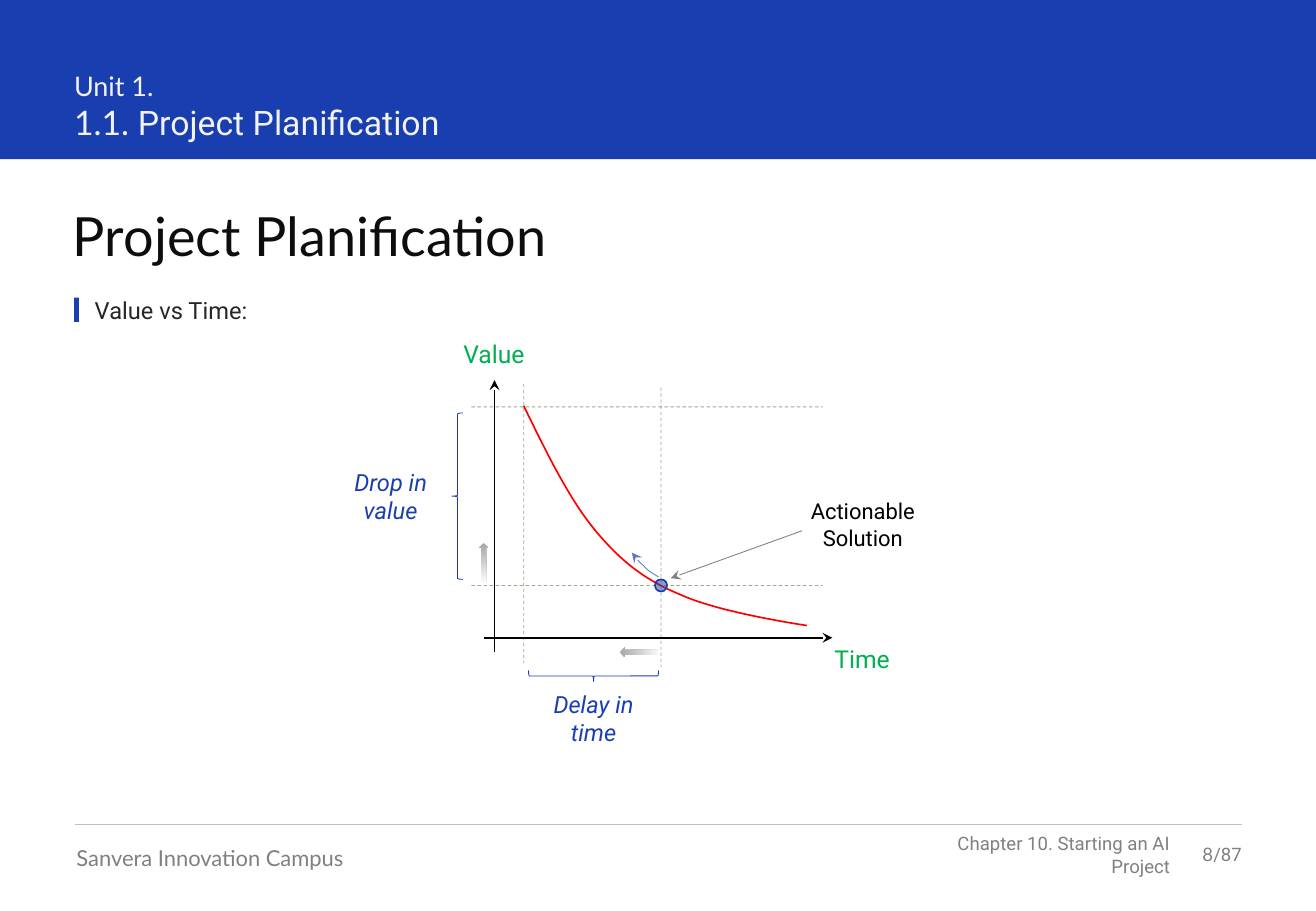
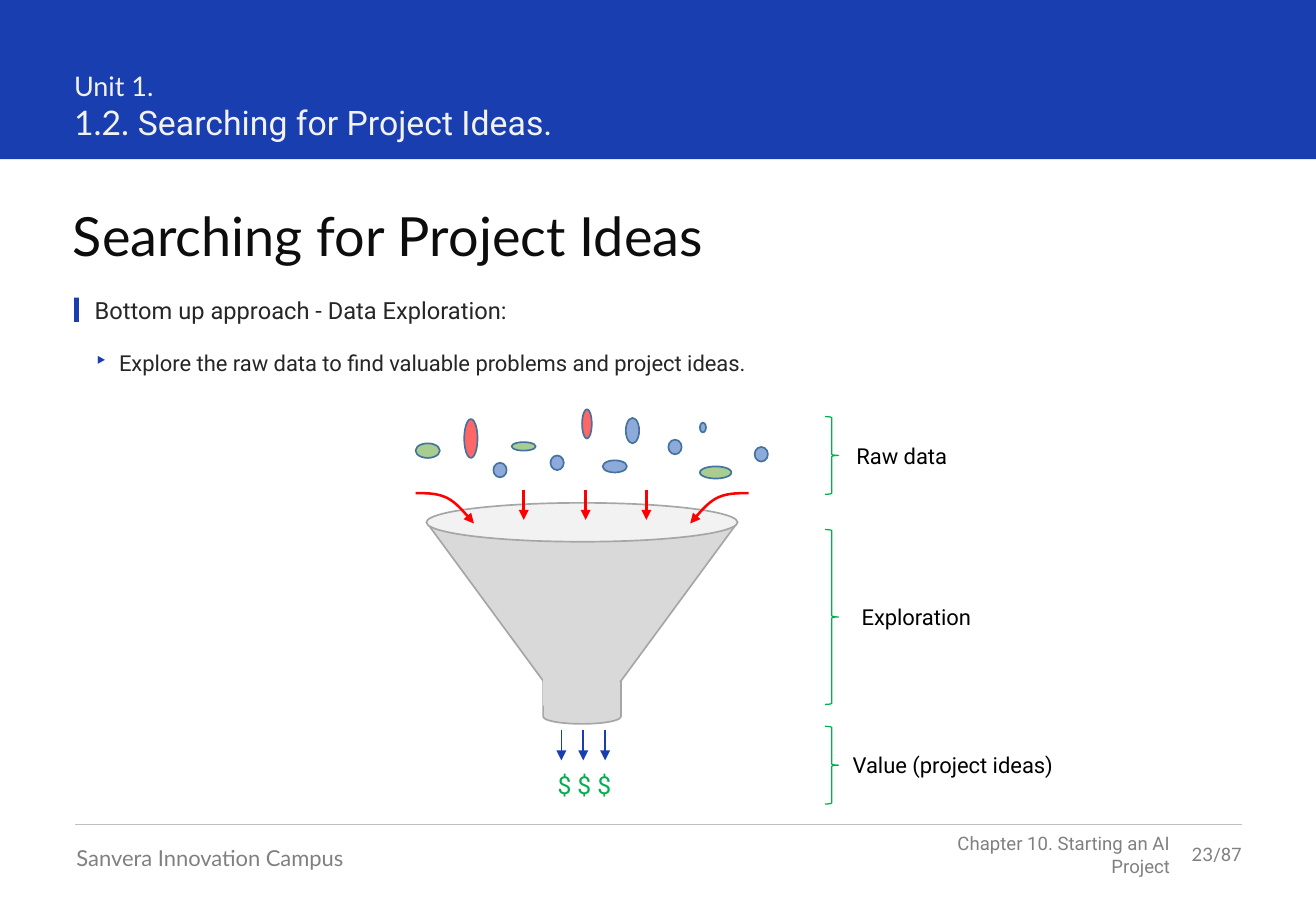
import pptx
import pptx.util
import pptx.dml.color
import pptx.enum.dml
import pptx.enum.shapes
import pptx.enum.text
from pptx.oxml.ns import qn
from lxml import etree

Inches, Pt = pptx.util.Inches, pptx.util.Pt
SHAPE = pptx.enum.shapes.MSO_SHAPE
ALIGN = pptx.enum.text.PP_ALIGN
ANCHOR = pptx.enum.text.MSO_ANCHOR

BLUE, GREEN, RED, BLACK = "193EB0", "00B050", "FF0000", "000000"
GREY, RULE, DARK, PALE, INK = "808080", "BFBFBF", "262626", "F2F2F2", "0D0D0D"
GUIDE, FUNNEL, FUNNEL_EDGE = "385723", "D9D9D9", "A6A6A6"
DATA_RED, DATA_GREEN, DATA_BLUE, DATA_EDGE = RED, "70AD47", "4472C4", "43739E"
LATO, ROBOTO = "Lato", "Roboto"
NO_INSETS = (0, 0, 0, 0)
TEXT_INSETS = (0.1, 0.05, 0.1, 0.05)

CAMPUS = "Sanvera Innovation Campus"
CHAPTER = "Chapter 10. Starting an AI Project"
LAST_PAGE = 87

# Value against time
AXES = [((3.98, 5.25), (6.85, 5.25)), ((4.07, 5.37), (4.07, 3.13))]
GUIDES = [((3.88, 3.35), (6.77, 3.35)), ((3.88, 4.82), (6.77, 4.82)),
          ((4.31, 3.16), (4.31, 5.46)), ((5.44, 3.19), (5.44, 5.49))]
DECAY = [(4.31, 3.34), (4.5, 3.73), (4.69, 4.12), (4.91, 4.38),
         (5.13, 4.64), (5.32, 4.78), (5.61, 4.9),
         (5.9, 5.03), (6.45, 5.12), (6.64, 5.15)]
CLIMB = [(5.42, 4.75), (5.37, 4.72), (5.33, 4.7), (5.3, 4.66),
         (5.26, 4.63), (5.23, 4.59), (5.2, 4.55)]
AXIS_NAMES = [("Value", (3.61, 2.74, 0.91, 0.35)), ("Time", (6.72, 5.25, 0.75, 0.35))]
# label, label box, brace box, grey arrow box, rotation
LOSSES = [
    ("Drop in value", (2.76, 3.8, 0.91, 0.59), (3.72, 3.4, 0.09, 1.37),
     (3.94, 4.47, 0.08, 0.32), 0),
    ("Delay in time", (4.43, 5.63, 0.91, 0.59), (4.84, 5.03, 0.09, 1.07),
     (5.22, 5.21, 0.08, 0.32), 270),
]

# Funnel
RAW_DATA = {
    DATA_RED: [(3.82, 3.45, 0.11, 0.32), (4.79, 3.37, 0.08, 0.24)],
    DATA_GREEN: [(4.21, 3.64, 0.2, 0.07), (5.76, 3.84, 0.26, 0.1), (3.42, 3.65, 0.2, 0.12)],
    DATA_BLUE: [(5.15, 3.44, 0.11, 0.21), (4.96, 3.79, 0.2, 0.1), (5.5, 3.62, 0.11, 0.12),
                (4.53, 3.75, 0.11, 0.12), (4.06, 3.81, 0.11, 0.12),
                (5.76, 3.48, 0.05, 0.08), (6.21, 3.68, 0.11, 0.12)],
}
FUNNEL_CENTRE = 4.79
INFLOW = [(3.42, 4.06), (3.51, 4.06), (3.6, 4.06), (3.68, 4.1),
          (3.76, 4.14), (3.83, 4.23), (3.9, 4.31)]
# xs, top, bottom, colour, width
FLOWS = [((4.31, 4.82, 5.32), 4.03, 4.28, RED, 1.5),
         ((4.62, 4.8, 4.98), 6.01, 6.26, BLUE, 1)]
# label, brace top, brace height, label left, label width
STAGES = [("Raw data", 3.43, 0.64, 6.86, 1.12),
          ("Exploration", 4.36, 1.44, 6.85, 1.38),
          ("Value (project ideas)", 5.98, 0.64, 6.89, 1.9)]


def rgb(colour):
    return pptx.dml.color.RGBColor.from_string(colour)


def set_opacity(fill_parent, percent):
    colour = fill_parent.find(".//" + qn("a:srgbClr"))
    etree.SubElement(colour, qn("a:alpha"), val=str(percent * 1000))


def style_line(sp, colour, width, dash=None, opacity=None, arrow=None):
    sp.line.color.rgb = rgb(colour)
    sp.line.width = Pt(width)
    if dash:
        sp.line.dash_style = dash
    ln = sp.element.spPr.find(qn("a:ln"))
    if opacity:
        set_opacity(ln, opacity)
    if arrow:
        etree.SubElement(ln, qn("a:tailEnd"), type=arrow)


def add_line(s, start, end, colour, width, **style):
    c = s.shapes.add_connector(pptx.enum.shapes.MSO_CONNECTOR.STRAIGHT,
                               *map(Inches, start + end))
    style_line(c, colour, width, **style)
    etree.SubElement(c.element.spPr, qn("a:effectLst"))
    return c


def add_shape(s, kind, box, fill=None, line=None, width=1, opacity=None, rotation=0):
    sp = s.shapes.add_shape(kind, *map(Inches, box))
    sp.shadow.inherit = False
    sp.rotation = rotation
    if fill:
        sp.fill.solid()
        sp.fill.fore_color.rgb = rgb(fill)
        if opacity:
            set_opacity(sp.element.spPr.find(qn("a:solidFill")), opacity)
    else:
        sp.fill.background()
    if line:
        style_line(sp, line, width)
    else:
        sp.line.fill.background()
    return sp


def add_curve(s, points, colour, width, **style):
    """Draw an open chain of cubic Béziers: a start, then three points a piece."""
    steps = 16
    traced = []
    for i in range(0, len(points) - 1, 3):
        for t in (k / steps for k in range(1, steps + 1)):
            weights = ((1 - t) ** 3, 3 * t * (1 - t) ** 2, 3 * t * t * (1 - t), t ** 3)
            traced.append([Inches(sum(w * p[axis] for w, p in zip(weights, points[i:i + 4])))
                           for axis in (0, 1)])
    builder = s.shapes.build_freeform(*map(Inches, points[0]))
    builder.add_line_segments(traced, close=False)
    sp = builder.convert_to_shape()
    sp.shadow.inherit = False
    sp.fill.background()
    style_line(sp, colour, width, **style)
    return sp


def format_frame(tf, insets=NO_INSETS, anchor=ANCHOR.TOP):
    tf.word_wrap = True
    tf.auto_size = pptx.enum.text.MSO_AUTO_SIZE.NONE
    tf.vertical_anchor = anchor
    tf.margin_left, tf.margin_top, tf.margin_right, tf.margin_bottom = map(Inches, insets)


def format_run(r, size, font, colour, italic=None):
    r.font.size = Pt(size)
    r.font.name = font
    r.font.color.rgb = rgb(colour)
    r.font.italic = italic


def add_text(s, box, runs, insets=NO_INSETS, align=ALIGN.LEFT, anchor=ANCHOR.TOP):
    """Add a one-paragraph box; runs are (text, size, font, colour), None breaks the line."""
    tf = s.shapes.add_textbox(*map(Inches, box)).text_frame
    format_frame(tf, insets, anchor)
    p = tf.paragraphs[0]
    p.alignment = align
    for run in runs:
        if run is None:
            p.add_line_break()
            continue
        r = p.add_run()
        r.text = run[0]
        format_run(r, *run[1:])
    return p


def add_label(s, box, text, size, colour, italic=None):
    add_text(s, box, [(text, size, ROBOTO, colour, italic)], TEXT_INSETS, ALIGN.CENTER)


def furnish_layout(layout, s):
    """Draw the band and footer on a slide, then move them to its layout."""
    before = len(s.shapes)
    add_shape(s, SHAPE.RECTANGLE, (0, 0, 10.83, 1.31), BLUE)
    add_text(s, (7.37, 6.94, 2.26, 0.19), [(CHAPTER, 11, ROBOTO, GREY)],
             align=ALIGN.RIGHT, anchor=ANCHOR.MIDDLE)
    add_line(s, (0.62, 6.79), (10.22, 6.79), RULE, 0.5)
    add_text(s, (0.63, 6.95, 3.16, 0.22), [(CAMPUS, 13, LATO, GREY)])
    for sp in list(s.shapes)[before:]:
        layout.shapes.element.append(sp.element)


def add_headings(s, page, number, section, title, topic):
    add_text(s, (0.61, 0.57, 6.37, 0.61),
             [("Unit 1.", 16, LATO, PALE), None,
              (number + " ", 20, LATO, PALE), (section, 20, ROBOTO, PALE)])
    sp = s.shapes.title
    sp.left, sp.top, sp.width, sp.height = map(Inches, (0.6, 1.67, 9.62, 0.54))
    format_frame(sp.text_frame)
    sp.text_frame.text = title
    p = sp.text_frame.paragraphs[0]
    p.alignment = ALIGN.LEFT
    format_run(p.runs[0], 32, LATO, INK)
    add_shape(s, SHAPE.RECTANGLE, (0.61, 2.45, 0.04, 0.2), BLUE)
    add_text(s, (0.78, 2.44, 9.44, 0.24), [(topic, 14, ROBOTO, DARK)])
    add_text(s, (9.63, 6.94, 0.59, 0.19),
             [(str(page), 11, LATO, GREY), (f"/{LAST_PAGE}", 11, ROBOTO, GREY)],
             align=ALIGN.RIGHT, anchor=ANCHOR.MIDDLE)


def add_bullet(s, box, text):
    p = add_text(s, box, [(text, 13, ROBOTO, DARK)], (0, 0.08, 0.16, 0.08))
    pPr = p._p.get_or_add_pPr()
    pPr.set("marL", str(Inches(0.2)))
    pPr.set("indent", str(-Inches(0.2)))
    etree.SubElement(etree.SubElement(pPr, qn("a:buClr")), qn("a:srgbClr"), val=BLUE)
    etree.SubElement(pPr, qn("a:buChar"), char="‣")


def add_fading_arrow(s, box, rotation):
    sp = add_shape(s, SHAPE.UP_ARROW, box, rotation=rotation)
    sp.fill.gradient()
    sp.fill.gradient_angle = 270
    for stop, colour in zip(sp.fill.gradient_stops, ("A6A6A6", "F7FAFD")):
        stop.color.rgb = rgb(colour)


def draw_value_graph(s):
    for start, end in AXES:
        add_line(s, start, end, BLACK, 1, arrow="stealth")
    add_curve(s, DECAY, RED, 1)
    add_shape(s, SHAPE.OVAL, (5.39, 4.77, 0.1, 0.1), BLUE, BLUE, opacity=50)
    for start, end in GUIDES:
        add_line(s, start, end, GUIDE, 0.5, opacity=50,
                 dash=pptx.enum.dml.MSO_LINE.DASH)
    for text, box in AXIS_NAMES:
        add_label(s, box, text, 14.6, GREEN)
    for text, label_box, brace_box, arrow_box, rotation in LOSSES:
        add_shape(s, SHAPE.LEFT_BRACE, brace_box, line=BLUE, width=0.5, rotation=rotation)
        add_label(s, label_box, text, 14, BLUE, italic=True)
        add_fading_arrow(s, arrow_box, rotation)
    add_line(s, (6.6, 4.37), (5.52, 4.76), BLACK, 0.5, opacity=50, arrow="stealth")
    add_label(s, (6.51, 4.05, 1.18, 0.54), "Actionable Solution", 13, BLACK)
    add_curve(s, CLIMB, BLUE, 0.5, opacity=70, arrow="stealth")


def draw_funnel(s):
    add_shape(s, SHAPE.CAN, (4.47, 5.48, 0.64, 0.48), FUNNEL, FUNNEL_EDGE)
    cone = add_shape(s, SHAPE.TRAPEZOID, (3.51, 4.3, 2.56, 1.31), FUNNEL, FUNNEL_EDGE,
                     rotation=180)
    cone.adjustments[0] = 0.735
    add_shape(s, SHAPE.OVAL, (3.51, 4.14, 2.56, 0.32), PALE, FUNNEL_EDGE)
    add_shape(s, SHAPE.RECTANGLE, (4.47, 5.29, 0.63, 0.52), FUNNEL)
    for colour, boxes in RAW_DATA.items():
        for box in boxes:
            add_shape(s, SHAPE.OVAL, box, colour, DATA_EDGE, opacity=60)
    mirrored = [(2 * FUNNEL_CENTRE - x, y) for x, y in INFLOW]
    for points in (INFLOW, mirrored):
        add_curve(s, points, RED, 1.5, arrow="triangle")
    for xs, top, bottom, colour, width in FLOWS:
        for x in xs:
            add_line(s, (x, top), (x, bottom), colour, width, arrow="triangle")
    add_label(s, (4.2, 6.29, 1.22, 0.35), "$ $ $", 14.6, GREEN)
    for text, top, height, left, width in STAGES:
        add_shape(s, SHAPE.RIGHT_BRACE, (6.79, top, 0.11, height), line=GREEN, width=0.75)
        add_label(s, (left, top + height / 2 - 0.16, width, 0.32), text, 13, BLACK)


def main():
    prs = pptx.Presentation()
    prs.slide_width, prs.slide_height = Inches(10.83), Inches(7.5)
    layout = prs.slide_layouts[5]

    s = prs.slides.add_slide(layout)
    furnish_layout(layout, s)
    add_headings(s, 8, "1.1.", "Project Planification", "Project Planification",
                 "Value vs Time:")
    draw_value_graph(s)

    s = prs.slides.add_slide(layout)
    add_headings(s, 23, "1.2.", "Searching for Project Ideas.",
                 "Searching for Project Ideas", "Bottom up approach - Data Exploration:")
    add_bullet(s, (0.78, 2.8, 9.44, 0.38),
               "Explore the raw data to find valuable problems and project ideas.")
    draw_funnel(s)

    prs.save("out.pptx")


if __name__ == "__main__":
    main()
